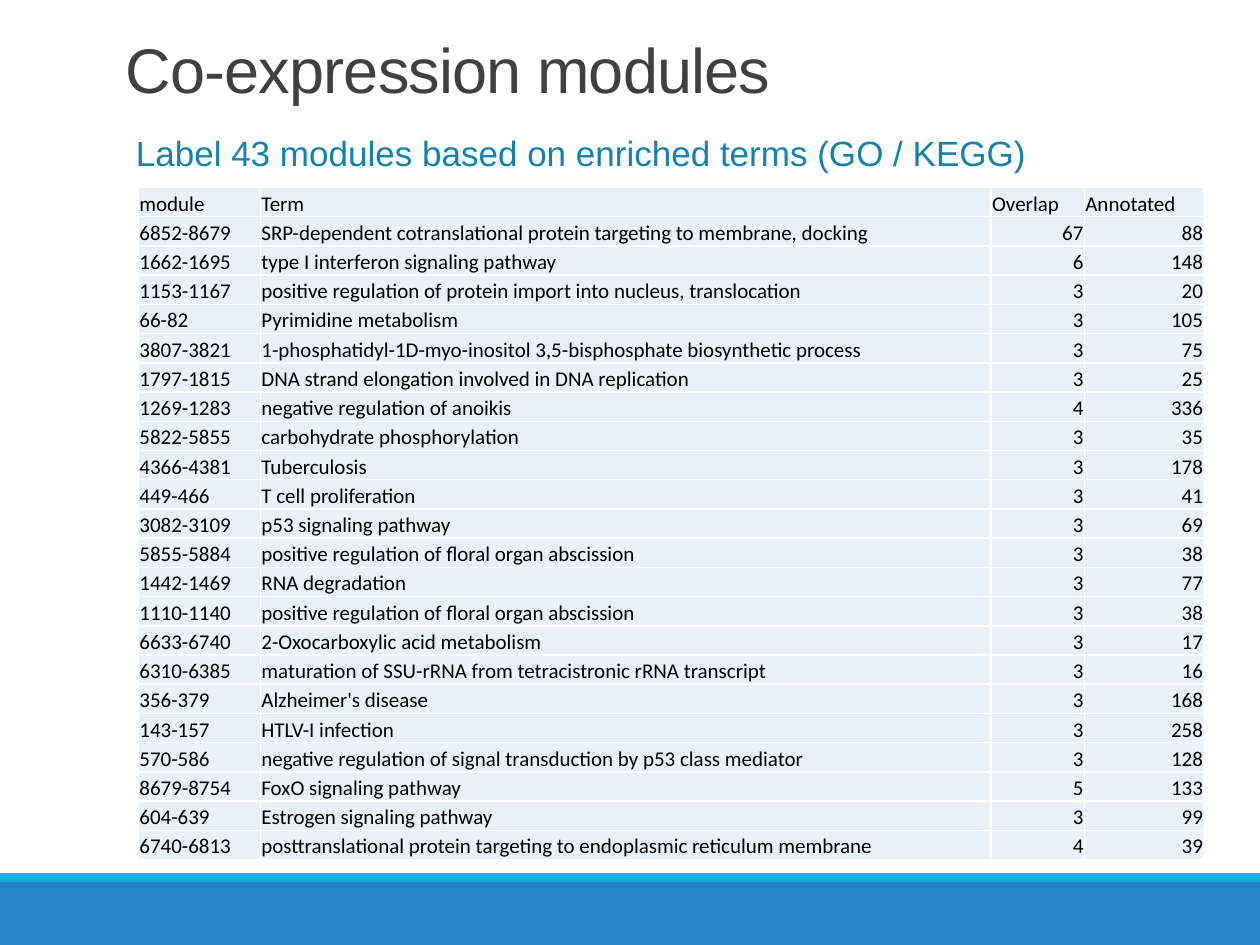
from lxml.etree import SubElement
from pptx import Presentation
from pptx.dml.color import RGBColor
from pptx.enum.shapes import MSO_SHAPE
from pptx.enum.text import MSO_ANCHOR, PP_ALIGN
from pptx.oxml.ns import qn
from pptx.util import Cm, Pt

HEADINGS = ("module", "Term", "Overlap", "Annotated")
MODULES = [
    ("6852-8679", "SRP-dependent cotranslational protein targeting to membrane, docking", 67, 88),
    ("1662-1695", "type I interferon signaling pathway", 6, 148),
    ("1153-1167", "positive regulation of protein import into nucleus, translocation", 3, 20),
    ("66-82", "Pyrimidine metabolism", 3, 105),
    ("3807-3821", "1-phosphatidyl-1D-myo-inositol 3,5-bisphosphate biosynthetic process", 3, 75),
    ("1797-1815", "DNA strand elongation involved in DNA replication", 3, 25),
    ("1269-1283", "negative regulation of anoikis", 4, 336),
    ("5822-5855", "carbohydrate phosphorylation", 3, 35),
    ("4366-4381", "Tuberculosis", 3, 178),
    ("449-466", "T cell proliferation", 3, 41),
    ("3082-3109", "p53 signaling pathway", 3, 69),
    ("5855-5884", "positive regulation of floral organ abscission", 3, 38),
    ("1442-1469", "RNA degradation", 3, 77),
    ("1110-1140", "positive regulation of floral organ abscission", 3, 38),
    ("6633-6740", "2-Oxocarboxylic acid metabolism", 3, 17),
    ("6310-6385", "maturation of SSU-rRNA from tetracistronic rRNA transcript", 3, 16),
    ("356-379", "Alzheimer's disease", 3, 168),
    ("143-157", "HTLV-I infection", 3, 258),
    ("570-586", "negative regulation of signal transduction by p53 class mediator", 3, 128),
    ("8679-8754", "FoxO signaling pathway", 5, 133),
    ("604-639", "Estrogen signaling pathway", 3, 99),
    ("6740-6813", "posttranslational protein targeting to endoplasmic reticulum membrane", 4, 39),
]
COLUMN_WIDTHS = (2.46, 14.73, 1.88, 2.41)


def colour(value):
    """Turn a hex string into a colour."""
    return RGBColor.from_string(value)


def add_span(para, text, font, size, ink):
    """Add one formatted run to a paragraph."""
    span = para.add_run()
    span.text = text
    span.font.name = font
    span.font.size = Pt(size)
    span.font.color.rgb = colour(ink)
    return span


def add_footer(page, left, top, width, height):
    """Draw the footer block with its thin accent stripe along the top."""
    stripe = 0.18
    for offset, depth, fill in ((stripe, height - stripe, "2683C6"), (0, stripe, "1CADE4")):
        bar = page.shapes.add_shape(
            MSO_SHAPE.RECTANGLE, Cm(left), Cm(top + offset), Cm(width), Cm(depth))
        bar.shadow.inherit = False
        bar.fill.solid()
        bar.fill.fore_color.rgb = colour(fill)
        bar.line.fill.background()


def add_heading(page, left, top, width, height):
    """Place the title above its subtitle."""
    title_height = 2.03
    box = page.shapes.add_textbox(Cm(left), Cm(top), Cm(width), Cm(title_height)).text_frame
    box.word_wrap = True
    box.vertical_anchor = MSO_ANCHOR.BOTTOM
    para = box.paragraphs[0]
    para.line_spacing = 0.85
    span = add_span(para, "Co-expression modules", "Arial", 36, "404040")
    span.font._element.set("spc", "-50")

    subtitle_top = 2.23
    box = page.shapes.add_textbox(
        Cm(left), Cm(top + subtitle_top), Cm(width), Cm(height - subtitle_top)).text_frame
    box.word_wrap = True
    box.margin_left = Cm(0.45)
    box.margin_top = Cm(0.2)
    para = box.paragraphs[0]
    add_span(para, "Label 43 modules based on enriched terms (GO / KEGG)", "Arial", 20, "1482AC")


def add_borders(cell, ink, width):
    """Rule all four sides of a table cell."""
    properties = cell._tc.get_or_add_tcPr()
    for side in ("lnL", "lnR", "lnT", "lnB"):
        line = SubElement(properties, qn(f"a:{side}"), w=str(Pt(width)))
        fill = SubElement(line, qn("a:solidFill"))
        SubElement(fill, qn("a:srgbClr"), val=ink)


def fill_cell(cell, value):
    """Style a table cell and write its value, numbers to the right."""
    add_borders(cell, "FFFFFF", 1)
    cell.fill.solid()
    cell.fill.fore_color.rgb = colour("E8F1FA")
    cell.vertical_anchor = MSO_ANCHOR.BOTTOM
    cell.margin_left = cell.margin_right = cell.margin_top = Cm(0.02)
    cell.margin_bottom = Cm(0)
    para = cell.text_frame.paragraphs[0]
    para.alignment = PP_ALIGN.RIGHT if isinstance(value, int) else PP_ALIGN.LEFT
    add_span(para, str(value), "Calibri", 12, "000000")


def add_module_table(page, left, top, width, height):
    """Build the table of modules and their enriched terms."""
    records = [HEADINGS, *MODULES]
    table = page.shapes.add_table(
        len(records), len(HEADINGS), Cm(left), Cm(top), Cm(width), Cm(height)).table
    table.first_row = False
    table.horz_banding = False
    for column, column_width in zip(table.columns, COLUMN_WIDTHS):
        column.width = Cm(column_width)
    for row, record in zip(table.rows, records):
        row.height = Cm(height / len(records))
        for cell, value in zip(row.cells, record):
            fill_cell(cell, value)


def main():
    """Build the deck and save it."""
    deck = Presentation()
    deck.slide_width = Cm(25.4)
    deck.slide_height = Cm(19.05)
    page = deck.slides.add_slide(deck.slide_layouts[6])
    add_footer(page, 0, 17.6, 25.4, 1.45)
    add_heading(page, 2.29, 0.23, 20.96, 4.52)
    add_module_table(page, 2.79, 3.78, sum(COLUMN_WIDTHS), 13.56)
    deck.save("out.pptx")


if __name__ == "__main__":
    main()
